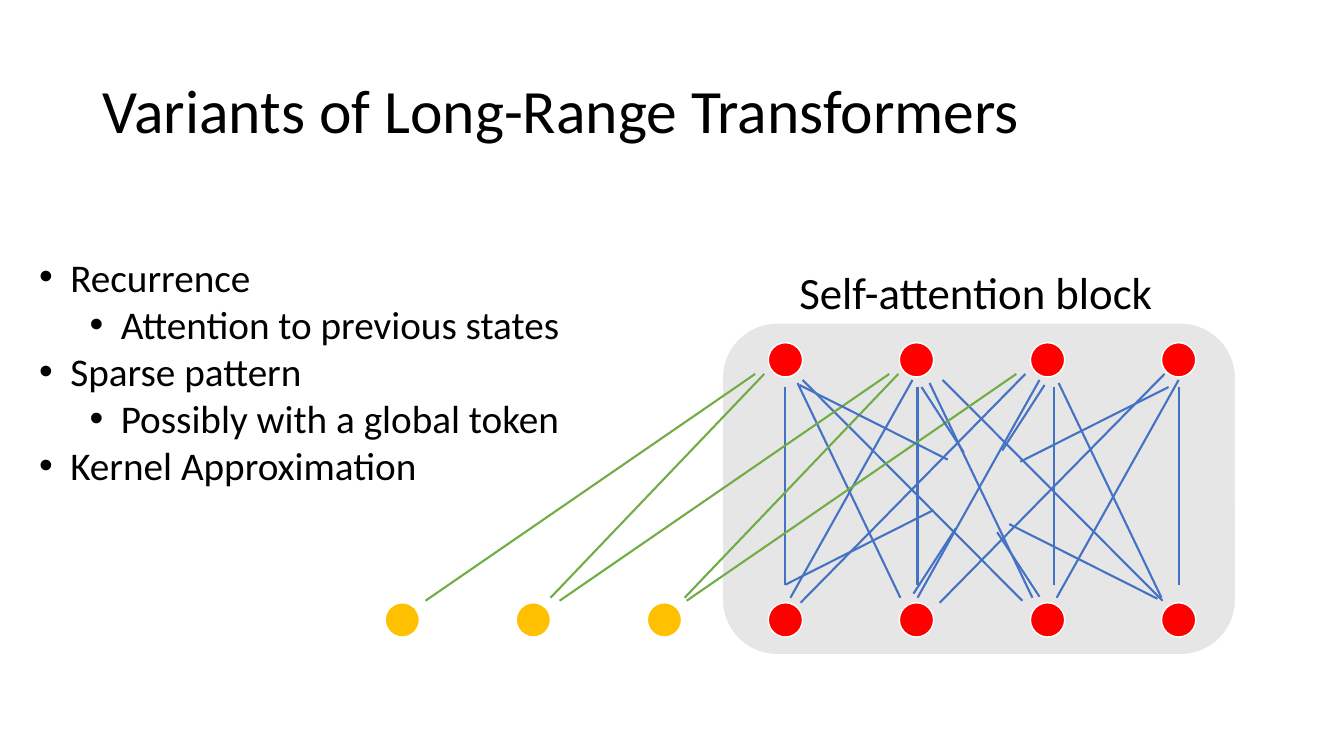
"""Build the slide on variants of long-range transformers."""
import lxml.etree
import pptx
import pptx.dml.color
import pptx.enum.shapes
import pptx.enum.text
import pptx.oxml.ns
import pptx.util

PX = 9144
RGB = pptx.dml.color.RGBColor
BLACK = RGB(0x00, 0x00, 0x00)
WHITE = RGB(0xFF, 0xFF, 0xFF)
GRAY = RGB(0xE7, 0xE6, 0xE6)
RED = RGB(0xFF, 0x00, 0x00)
AMBER = RGB(0xFF, 0xC0, 0x00)
BLUE = RGB(0x44, 0x72, 0xC4)
GREEN = RGB(0x70, 0xAD, 0x47)
SHAPE = pptx.enum.shapes.MSO_SHAPE
FIT = pptx.enum.text.MSO_AUTO_SIZE.SHAPE_TO_FIT_TEXT
MIDDLE = pptx.enum.text.MSO_ANCHOR.MIDDLE

TOKEN, STEP = 34, 130
TOP_ROW, BOTTOM_ROW = 340, 598
BLOCK_LEFT, PREVIOUS_LEFT = 762, 382

VARIANTS = [
    (0, "Recurrence"),
    (1, "Attention to previous states"),
    (0, "Sparse pattern"),
    (1, "Possibly with a global token"),
    (0, "Kernel Approximation"),
]

# Each family of parallel lines: start y, end y, horizontal run, start xs.
ATTENTION = [
    (593, 377, 121, (784, 910, 1048)),
    (593, 380, -102, (893, 1024, 1152)),
    (598, 371, 223, (794, 932)),
    (596, 377, -218, (1014, 1153)),
    (580, 384, 0, (779, 910, 1045, 1169)),
]
RECURRENCE = [
    (593, 371, 212, (546, 679)),
    (596, 371, 327, (422, 555, 681)),
]
LONG_RANGE_STUBS = [
    (580, 506, 147, (779,)),
    (589, 524, 42, (906,)),
    (447, 382, 42, (994,)),
    (458, 384, 147, (1012,)),
    (382, 456, 147, (793,)),
    (520, 594, 147, (1001,)),
    (384, 449, 42, (914,)),
    (528, 592, 42, (989,)),
]


def set_all(target, values):
    """Set every attribute of target that values names."""
    for name, value in values.items():
        setattr(target, name, value)


def px(*lengths):
    """Turn px lengths into EMU."""
    return [n * PX for n in lengths]


def add_filled(shapes, kind, box, fill, line_width):
    """Add a preset shape with a solid fill and a white outline."""
    sp = shapes.add_shape(kind, *px(*box))
    sp.shadow.inherit = False
    sp.fill.solid()
    sp.fill.fore_color.rgb = fill
    sp.line.color.rgb = WHITE
    sp.line.width = pptx.util.Pt(line_width)


def add_tokens(shapes, left, top, count, fill):
    """Add a row of evenly spaced token circles."""
    for i in range(count):
        box = (left + i * STEP, top, TOKEN, TOKEN)
        add_filled(shapes, SHAPE.OVAL, box, fill, 1)


def add_lines(shapes, families, color):
    """Add families of parallel lines in one colour."""
    for y1, y2, run, starts in families:
        for x in starts:
            line = shapes.add_connector(
                pptx.enum.shapes.MSO_CONNECTOR.STRAIGHT, *px(x, y1, x + run, y2))
            line.line.color.rgb = color
            line.line.width = pptx.util.Pt(1.5)
            lxml.etree.SubElement(
                line._element.spPr, pptx.oxml.ns.qn("a:effectLst"))


def add_text(shapes, box, frame, size):
    """Add an empty text box and return its frame and font values."""
    tf = shapes.add_textbox(*px(*box)).text_frame
    set_all(tf, frame)
    return tf, {"name": "Calibri", "size": pptx.util.Pt(size)}


def add_run(p, text, font):
    """Add a black run to a paragraph."""
    r = p.add_run()
    r.text = text
    set_all(r.font, font)
    r.font.color.rgb = BLACK


def add_bullet(p, level):
    """Give a paragraph a hanging bullet at its level."""
    p.level = level
    pPr = p._p.get_or_add_pPr()
    pPr.set("marL", str((31 + 50 * level) * PX))
    pPr.set("indent", str(-31 * PX))
    for tag, key, value in (("a:buFont", "typeface", "Arial"),
                            ("a:buChar", "char", "•")):
        lxml.etree.SubElement(pPr, pptx.oxml.ns.qn(tag)).set(key, value)


def add_label(shapes, box, frame, size, text, paragraph):
    """Add a text box that holds one paragraph."""
    tf, font = add_text(shapes, box, frame, size)
    p = tf.paragraphs[0]
    set_all(p, paragraph)
    add_run(p, text, font)


def add_bullets(shapes, box, frame, size, items):
    """Add a text box that holds a bulleted list."""
    tf, font = add_text(shapes, box, frame, size)
    for i, (level, text) in enumerate(items):
        p = tf.add_paragraph() if i else tf.paragraphs[0]
        add_bullet(p, level)
        add_run(p, text, font)


def main():
    """Build and save the slide."""
    prs = pptx.Presentation()
    prs.slide_width, prs.slide_height = px(1333, 750)
    s = prs.slides.add_slide(prs.slide_layouts[6])
    shapes = s.shapes
    growing = {"word_wrap": False, "auto_size": FIT}

    add_filled(shapes, SHAPE.ROUNDED_RECTANGLE, (716, 320, 510, 330), GRAY, 1.5)
    add_label(shapes, (92, 40, 1150, 145),
              {"word_wrap": True, "vertical_anchor": MIDDLE}, 44,
              "Variants of Long-Range Transformers", {"line_spacing": 0.9})
    for top in (TOP_ROW, BOTTOM_ROW):
        add_tokens(shapes, BLOCK_LEFT, top, 4, RED)
    add_bullets(shapes, (29, 246, 543, 246), growing, 28, VARIANTS)
    add_label(shapes, (783, 258, 376, 64), growing, 32,
              "Self-attention block", {})
    add_lines(shapes, ATTENTION, BLUE)

    previous = shapes.add_group_shape().shapes
    add_tokens(previous, PREVIOUS_LEFT, BOTTOM_ROW, 3, AMBER)
    add_lines(previous, RECURRENCE, GREEN)
    add_lines(shapes.add_group_shape().shapes, LONG_RANGE_STUBS, BLUE)

    prs.save("out.pptx")


if __name__ == "__main__":
    main()
